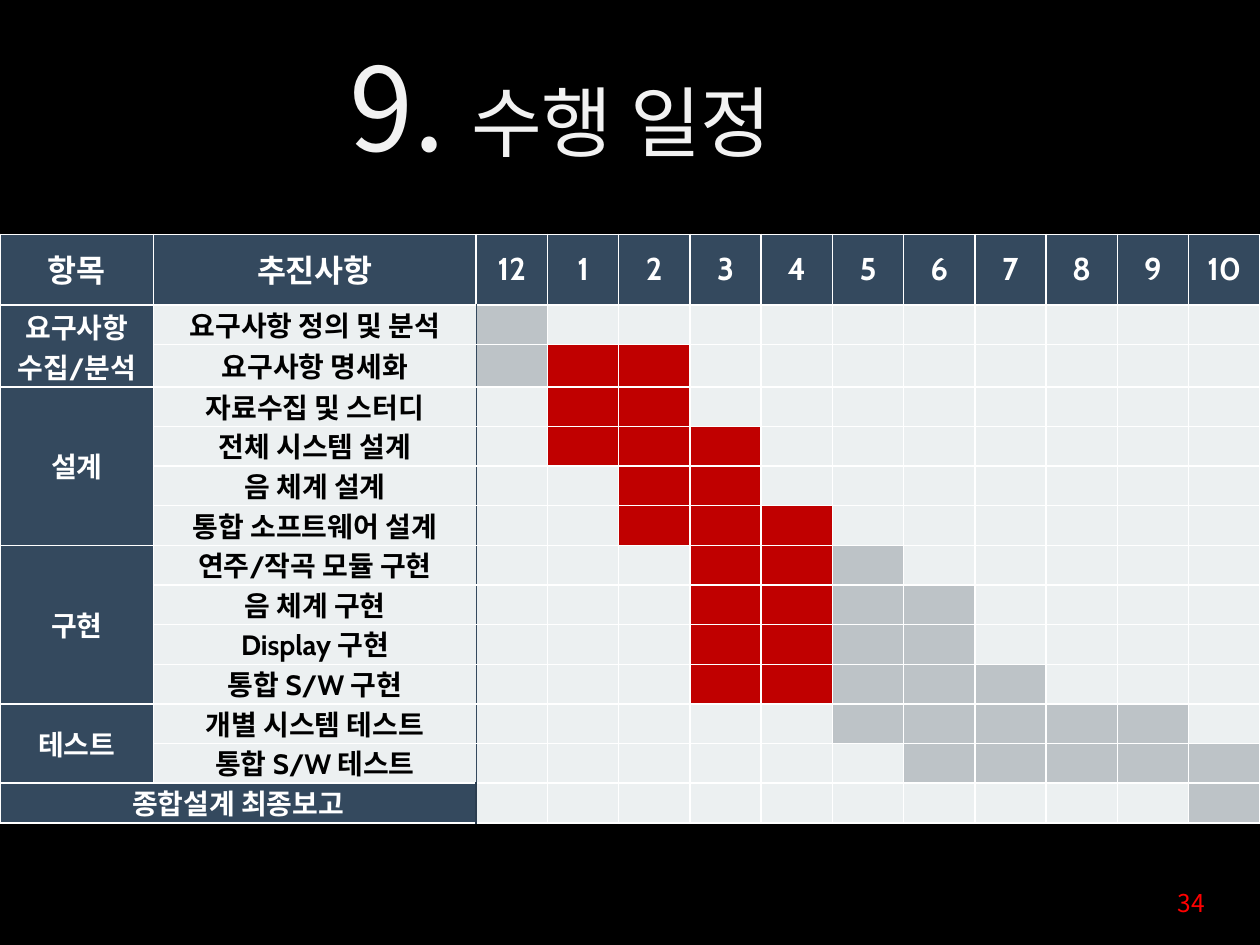
from lxml import etree
from pptx import Presentation
from pptx.dml.color import RGBColor
from pptx.enum.text import MSO_ANCHOR, PP_ALIGN
from pptx.oxml.ns import qn
from pptx.util import Inches, Pt

TOP, MIDDLE = MSO_ANCHOR.TOP, MSO_ANCHOR.MIDDLE
LEFT, CENTER, RIGHT = PP_ALIGN.LEFT, PP_ALIGN.CENTER, PP_ALIGN.RIGHT

BLACK = RGBColor(0x00, 0x00, 0x00)
WHITE = RGBColor(0xFF, 0xFF, 0xFF)
OFF_WHITE = RGBColor(0xF2, 0xF2, 0xF2)
NAVY = RGBColor(0x34, 0x49, 0x5E)
DARK_NAVY = RGBColor(0x2C, 0x3E, 0x50)
PALE = RGBColor(0xEC, 0xF0, 0xF1)
GRAY = RGBColor(0xBD, 0xC3, 0xC7)
CRIMSON = RGBColor(0xC0, 0x00, 0x00)
RED = RGBColor(0xFF, 0x00, 0x00)
KOREAN, LATIN = "Noto Sans CJK KR", "Cabin"

# Content: each task has one mark per month, "." free, "g" gray, "r" red
TITLE = [("9. ", 66), ("수행 일정", 44)]
PAGE_NUMBER = "34"
HEADERS = ["항목", "추진사항", "12", *(str(month) for month in range(1, 11))]
PHASES = [
    ("요구사항\n수집/분석", [
        ("요구사항 정의 및 분석", "g.........."),
        ("요구사항 명세화", "grr........")]),
    ("설계", [
        ("자료수집 및 스터디", ".rr........"),
        ("전체 시스템 설계", ".rrr......."),
        ("음 체계 설계", "..rr......."),
        ("통합 소프트웨어 설계", "..rrr......")]),
    ("구현", [
        ("연주/작곡 모듈 구현", "...rrg....."),
        ("음 체계 구현", "...rrgg...."),
        ("Display 구현", "...rrgg...."),
        ("통합 S/W 구현", "...rrggg...")]),
    ("테스트", [
        ("개별 시스템 테스트", ".....ggggg."),
        ("통합 S/W 테스트", "......ggggg")]),
]
FINAL = ("종합설계 최종보고", "..........g")
MARK_FILLS = {".": PALE, "g": GRAY, "r": CRIMSON}

# Table measures, in inches
TABLE_TOP, TABLE_WIDTH, TABLE_HEIGHT = 1.86, 10, 4.65
PHASE_WIDTH, TASK_WIDTH, HEADER_HEIGHT = 1.22, 2.56, 0.56


def style(paragraph, size, color, align, latin=KOREAN, bold=False):
    paragraph.alignment = align
    font = paragraph.font
    font.size, font.bold, font.name = Pt(size), bold, latin
    font.color.rgb = color
    properties = paragraph._p.get_or_add_pPr().find(qn("a:defRPr"))
    etree.SubElement(properties, qn("a:ea"), typeface=KOREAN)


def set_borders(cell, **special):
    properties = cell._tc.get_or_add_tcPr()
    for index, side in enumerate(("L", "R", "T", "B")):
        color, width = special.get(side, (WHITE, 1))
        line = etree.Element(qn(f"a:ln{side}"), w=str(Pt(width)))
        fill = etree.SubElement(line, qn("a:solidFill"))
        etree.SubElement(fill, qn("a:srgbClr"), val=str(color))
        properties.insert(index, line)


def fill_cell(cell, text, fill, color=WHITE, size=16, **borders):
    cell.text = text
    cell.vertical_anchor = MIDDLE
    cell.margin_left = cell.margin_right = cell.margin_top = Inches(0.01)
    cell.margin_bottom = 0
    cell.fill.solid()
    cell.fill.fore_color.rgb = fill
    for paragraph in cell.text_frame.paragraphs:
        style(paragraph, size, color, CENTER, LATIN, bold=True)
        if "\n" not in text:
            paragraph.line_spacing = 0.9
    set_borders(cell, **borders)


def fill_months(row, marks, left_border):
    for column, mark in enumerate(marks, start=2):
        borders = {"L": left_border} if column == 2 else {}
        if row == 1:
            borders["T"] = (WHITE, 1.5)
        fill_cell(table.cell(row, column), "", MARK_FILLS[mark], size=12, **borders)


deck = Presentation()
deck.slide_width, deck.slide_height = Inches(10), Inches(7.5)
page = deck.slides.add_slide(deck.slide_layouts[5])
page.background.fill.solid()
page.background.fill.fore_color.rgb = BLACK

# Title
title = page.shapes.title
title.left, title.top = Inches(2.67), Inches(0.36)
title.width, title.height = Inches(4.14), Inches(1.21)
title.text_frame.vertical_anchor = TOP
heading = title.text_frame.paragraphs[0]
style(heading, 66, OFF_WHITE, LEFT)
heading.line_spacing = 0.9
for text, size in TITLE:
    span = heading.add_run()
    span.text = text
    span.font.size = Pt(size)

# Schedule table
task_count = sum(len(tasks) for _, tasks in PHASES)
last_row = task_count + 1
table = page.shapes.add_table(
    last_row + 1, len(HEADERS), 0, Inches(TABLE_TOP),
    Inches(TABLE_WIDTH), Inches(TABLE_HEIGHT)).table
month_width = (TABLE_WIDTH - PHASE_WIDTH - TASK_WIDTH) / (len(HEADERS) - 2)
row_height = (TABLE_HEIGHT - HEADER_HEIGHT) / last_row
for index, column in enumerate(table.columns):
    column.width = Inches((PHASE_WIDTH, TASK_WIDTH)[index] if index < 2 else month_width)
for index, row in enumerate(table.rows):
    row.height = Inches(row_height if index else HEADER_HEIGHT)

for column, text in enumerate(HEADERS):
    fill_cell(table.cell(0, column), text, NAVY, size=18, B=(WHITE, 1.5))

row = 1
for phase, tasks in PHASES:
    top_border = {"T": (WHITE, 1.5)} if row == 1 else {}
    table.cell(row, 0).merge(table.cell(row + len(tasks) - 1, 0))
    fill_cell(table.cell(row, 0), phase, NAVY, **top_border)
    for task, marks in tasks:
        top_border = {"T": (WHITE, 1.5)} if row == 1 else {}
        fill_cell(table.cell(row, 1), task, PALE, BLACK, R=(NAVY, 0.75), **top_border)
        fill_months(row, marks, (NAVY, 0.75))
        row += 1

final_text, final_marks = FINAL
table.cell(last_row, 0).merge(table.cell(last_row, 1))
fill_cell(table.cell(last_row, 0), final_text, NAVY, R=(DARK_NAVY, 1.5))
fill_months(last_row, final_marks, (DARK_NAVY, 1.5))

# Page number
number = page.shapes.add_textbox(Inches(7.33), Inches(7), Inches(2.33), Inches(0.52))
number.text_frame.word_wrap = True
number.text_frame.text = PAGE_NUMBER
style(number.text_frame.paragraphs[0], 14, RED, RIGHT)

deck.save("out.pptx")
